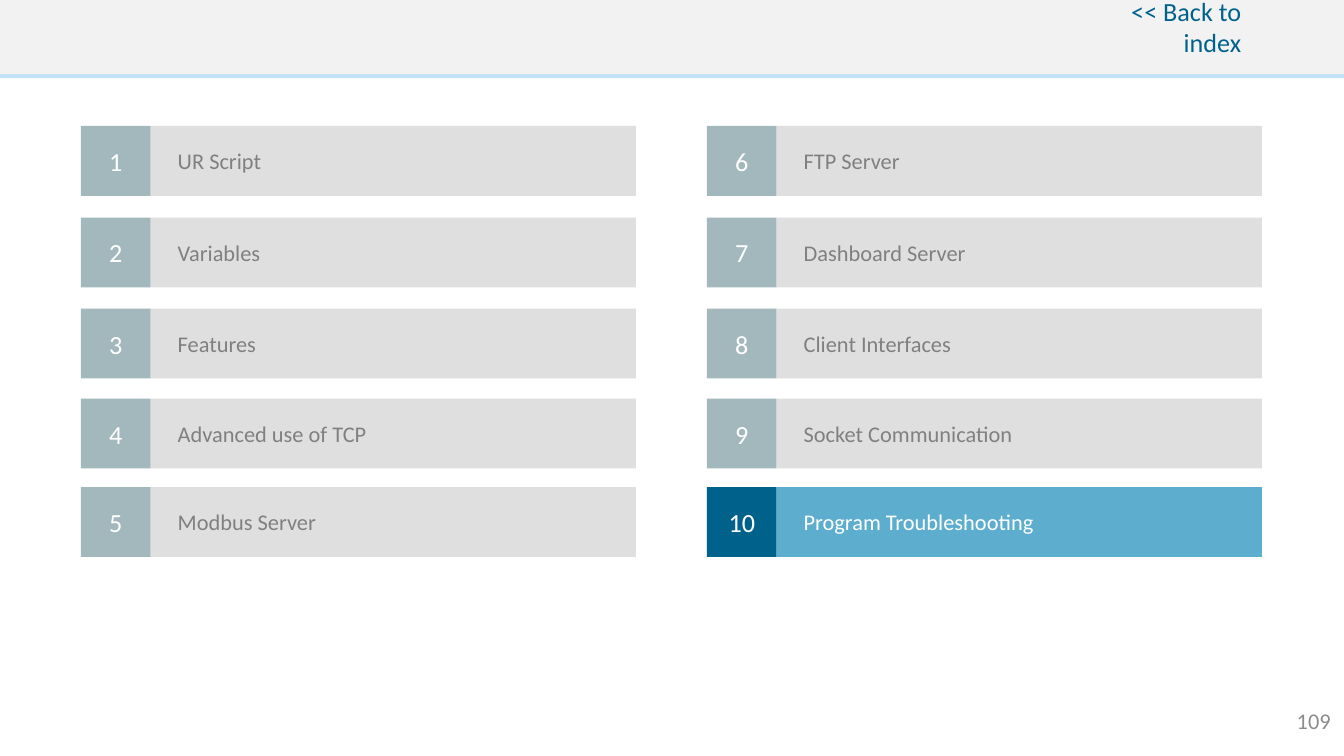
from pptx import Presentation
from pptx.dml.color import RGBColor
from pptx.enum.shapes import MSO_SHAPE
from pptx.enum.text import MSO_ANCHOR, PP_ALIGN
from pptx.util import Cm, Pt

WHITE = RGBColor(0xFF, 0xFF, 0xFF)
LIGHT_BLUE = RGBColor(0xC2, 0xE1, 0xF6)
HEADER_GREY = RGBColor(0xF2, 0xF2, 0xF2)
DARK_BLUE = RGBColor(0x00, 0x62, 0x8B)
BLUE = RGBColor(0x5D, 0xAD, 0xCF)
GREY_BLUE = RGBColor(0xA2, 0xB8, 0xBC)
BAR_GREY = RGBColor(0xDF, 0xDF, 0xDF)
TEXT_GREY = RGBColor(0x80, 0x80, 0x80)
PAGE_GREY = RGBColor(0x8C, 0x8C, 0x8C)

SLIDE_WIDTH, SLIDE_HEIGHT = 25.4, 14.28
COLUMN_LEFTS = [1.53, 13.36]
ROW_TOPS = [2.38, 4.11, 5.83, 7.53, 9.2]
TILE = 1.32
BAR_WIDTH = 9.17
CHAPTERS = [
    "UR Script", "Variables", "Features", "Advanced use of TCP", "Modbus Server",
    "FTP Server", "Dashboard Server", "Client Interfaces", "Socket Communication",
    "Program Troubleshooting",
]
CURRENT_CHAPTER = 10


class IndexSlide:
    font = "Calibri"

    def __init__(self, slide):
        self.slide = slide

    def add_text(self, shape, text, size, color, align, anchor, insets=None, wrap=True):
        frame = shape.text_frame
        frame.word_wrap = wrap
        frame.vertical_anchor = anchor
        if insets:
            frame.margin_left, frame.margin_right = Cm(insets[0]), Cm(insets[1])
            frame.margin_top = frame.margin_bottom = 0
        paragraph = frame.paragraphs[0]
        paragraph.alignment = align
        run = paragraph.add_run()
        run.text = text
        run.font.name = self.font
        run.font.size = Pt(size)
        run.font.color.rgb = color

    def block(self, left, top, width, height, fill):
        block = self.slide.shapes.add_shape(
            MSO_SHAPE.RECTANGLE, Cm(left), Cm(top), Cm(width), Cm(height))
        block.shadow.inherit = False
        block.fill.solid()
        block.fill.fore_color.rgb = fill
        block.line.fill.background()
        return block

    def label(self, left, top, width, height, text, size, color, anchor, **layout):
        label = self.slide.shapes.add_textbox(Cm(left), Cm(top), Cm(width), Cm(height))
        self.add_text(label, text, size, color, PP_ALIGN.RIGHT, anchor, **layout)

    def chapter(self, left, top, number, title, current):
        tile_fill, bar_fill, title_color = (
            (DARK_BLUE, BLUE, WHITE) if current else (GREY_BLUE, BAR_GREY, TEXT_GREY))
        tile = self.block(left, top, TILE, TILE, tile_fill)
        self.add_text(tile, str(number), 14, WHITE, PP_ALIGN.CENTER,
                      MSO_ANCHOR.MIDDLE, insets=(0, 0))
        bar = self.block(left + TILE, top, BAR_WIDTH, TILE, bar_fill)
        self.add_text(bar, title, 12, title_color, PP_ALIGN.LEFT,
                      MSO_ANCHOR.MIDDLE, insets=(0.51, 0))


def main():
    deck = Presentation()
    deck.slide_width, deck.slide_height = Cm(SLIDE_WIDTH), Cm(SLIDE_HEIGHT)
    index = IndexSlide(deck.slides.add_slide(deck.slide_layouts[6]))

    # Header band with its lower edge
    index.block(0, 0, SLIDE_WIDTH, 1.48, LIGHT_BLUE)
    index.block(0, 0, SLIDE_WIDTH, 1.4, HEADER_GREY)
    index.label(20.92, 0, 2.54, 1.09, "<< Back to index", 14, DARK_BLUE,
                MSO_ANCHOR.BOTTOM, insets=(0, 0), wrap=False)

    # Chapters, filled column by column
    for position, title in enumerate(CHAPTERS):
        column, row = divmod(position, len(ROW_TOPS))
        number = position + 1
        index.chapter(COLUMN_LEFTS[column], ROW_TOPS[row], number, title,
                      number == CURRENT_CHAPTER)

    # Page number
    index.label(22.86, 13.24, 2.54, 0.76, "109", 12, PAGE_GREY, MSO_ANCHOR.MIDDLE)

    deck.save("out.pptx")


if __name__ == "__main__":
    main()
